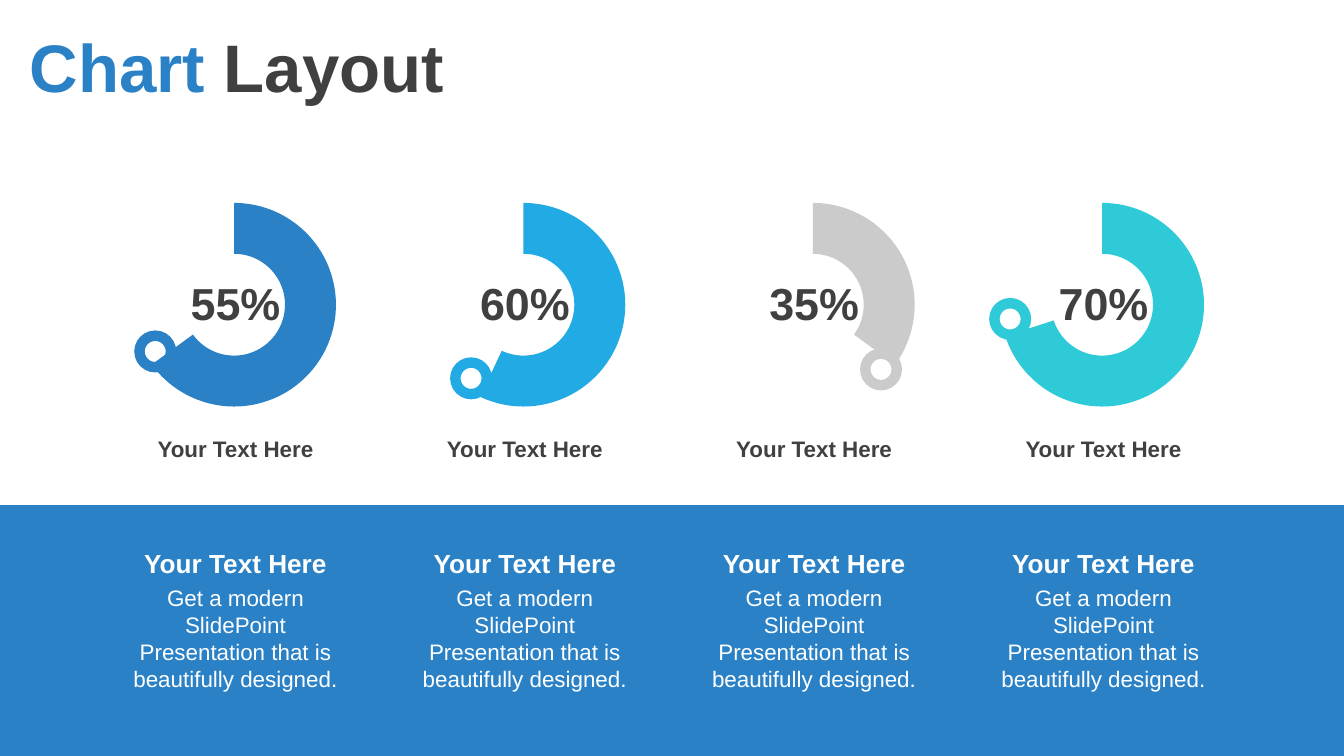
from dataclasses import dataclass

from lxml import etree
from pptx import Presentation
from pptx.chart.data import CategoryChartData
from pptx.dml.color import RGBColor
from pptx.enum.chart import XL_CHART_TYPE
from pptx.enum.shapes import MSO_SHAPE
from pptx.enum.text import MSO_ANCHOR, MSO_AUTO_SIZE, PP_ALIGN
from pptx.oxml.ns import qn
from pptx.util import Pt

DOUGHNUT = XL_CHART_TYPE.DOUGHNUT
RECT, RING = MSO_SHAPE.RECTANGLE, MSO_SHAPE.DONUT
TOP, MIDDLE = MSO_ANCHOR.TOP, MSO_ANCHOR.MIDDLE
LEFT, CENTER = PP_ALIGN.LEFT, PP_ALIGN.CENTER
NO_AUTOFIT = MSO_AUTO_SIZE.NONE


@dataclass(frozen=True)
class Theme:
    font: str = "Arial"
    blue: str = "2A81C6"
    sky: str = "22AAE4"
    gray: str = "CBCBCB"
    teal: str = "2ECAD7"
    dark: str = "404040"
    white: str = "FFFFFF"
    black: str = "000000"
    title: int = 36
    percent: int = 24
    chart: int = 18
    heading: int = 14
    body: int = 12


T = Theme()
TITLE = [("Chart ", T.blue), ("Layout", T.dark)]
LABEL = "Your Text Here"
BODY = "Get a modern SlidePoint Presentation that is beautifully designed."
COLUMNS = [
    {"percent": "55%", "value": 65, "color": T.blue, "ring": (-43, 188.3)},
    {"percent": "60%", "value": 57, "color": T.sky, "ring": (-28.8, 202.7)},
    {"percent": "35%", "value": 35, "color": T.gray, "ring": (35.8, 197.9)},
    {"percent": "70%", "value": 70, "color": T.teal, "ring": (-50, 170.9)},
]

SLIDE_W, SLIDE_H = 720, 405
FIRST_CENTER, PITCH = 126.2, 155
CHART_W, CHART_H, CHART_TOP = 121.7, 109.4, 108.7
RING_SIZE = 22.5
BAND_TOP = 270.6
PLOT = {"x": 0.043, "y": 0, "w": 0.902, "h": 0.998}


def rgb(color):
    return RGBColor.from_string(color)


def style(font, size, color, bold=False):
    font.name, font.size, font.bold = T.font, Pt(size), bold
    font.color.rgb = rgb(color)


def add_shape(s, kind, left, top, width, height, color):
    sp = s.shapes.add_shape(kind, Pt(left), Pt(top), Pt(width), Pt(height))
    sp.shadow.inherit = False
    sp.fill.solid()
    sp.fill.fore_color.rgb = rgb(color)
    sp.line.fill.background()


def add_text(s, center, top, width, height, text, size, color, bold=True, anchor=TOP):
    sp = s.shapes.add_textbox(Pt(center - width / 2), Pt(top), Pt(width), Pt(height))
    tf = sp.text_frame
    tf.word_wrap = True
    tf.vertical_anchor = anchor
    p = tf.paragraphs[0]
    p.text, p.alignment = text, CENTER
    style(p.font, size, color, bold)


def add_gauge(s, center, value, color):
    data = CategoryChartData()
    data.categories = ["1", "2"]
    data.add_series("Series 1", (value, 100 - value))
    frame = s.shapes.add_chart(DOUGHNUT, Pt(center - CHART_W / 2), Pt(CHART_TOP),
                               Pt(CHART_W), Pt(CHART_H), data)
    chart = frame.chart
    chart.has_legend = chart.has_title = False
    style(chart.font, T.chart, T.black)
    plot = chart.plots[0]
    plot.vary_by_categories = False
    filled, rest = (plot.series[0].points[i].format for i in range(2))
    filled.fill.solid()
    filled.fill.fore_color.rgb = rgb(color)
    rest.fill.background()
    for part in (filled, rest):
        part.line.fill.background()

    area = chart.element.find(".//" + qn("c:plotArea"))
    area.find(".//" + qn("c:holeSize")).set("val", "80")
    for old in area.findall(qn("c:layout")):
        area.remove(old)
    layout = etree.Element(qn("c:layout"))
    area.insert(0, layout)
    manual = etree.SubElement(layout, qn("c:manualLayout"))
    settings = {"layoutTarget": "inner", "xMode": "edge", "yMode": "edge", **PLOT}
    for name, val in settings.items():
        etree.SubElement(manual, qn("c:" + name)).set("val", str(val))


def add_title(s):
    sp = s.shapes.title
    sp.left, sp.top, sp.width, sp.height = Pt(8.8), Pt(0), Pt(711.2), Pt(70)
    tf = sp.text_frame
    tf.auto_size = NO_AUTOFIT
    tf.vertical_anchor = MIDDLE
    p = tf.paragraphs[0]
    p.alignment = LEFT
    for text, color in TITLE:
        r = p.add_run()
        r.text = text
        style(r.font, T.title, color, True)


def main():
    prs = Presentation()
    prs.slide_width, prs.slide_height = Pt(SLIDE_W), Pt(SLIDE_H)
    s = prs.slides.add_slide(prs.slide_layouts[5])
    add_title(s)
    add_shape(s, RECT, 0, BAND_TOP, SLIDE_W, SLIDE_H - BAND_TOP, T.blue)
    for i, col in enumerate(COLUMNS):
        center = FIRST_CENTER + i * PITCH
        add_gauge(s, center, col["value"], col["color"])
        add_text(s, center, 144, 96.5, 36, col["percent"], T.percent, T.dark, anchor=MIDDLE)
        add_text(s, center, 229.7, 139, 21.6, LABEL, T.body, T.dark)
        add_text(s, center, 289.5, 136, 24.5, LABEL, T.heading, T.white)
        add_text(s, center, 309.6, 136, 65.5, BODY, T.body, T.white, bold=False)
        dx, y = col["ring"]
        add_shape(s, RING, center + dx - RING_SIZE / 2, y - RING_SIZE / 2,
                  RING_SIZE, RING_SIZE, col["color"])
    prs.save("out.pptx")


if __name__ == "__main__":
    main()
